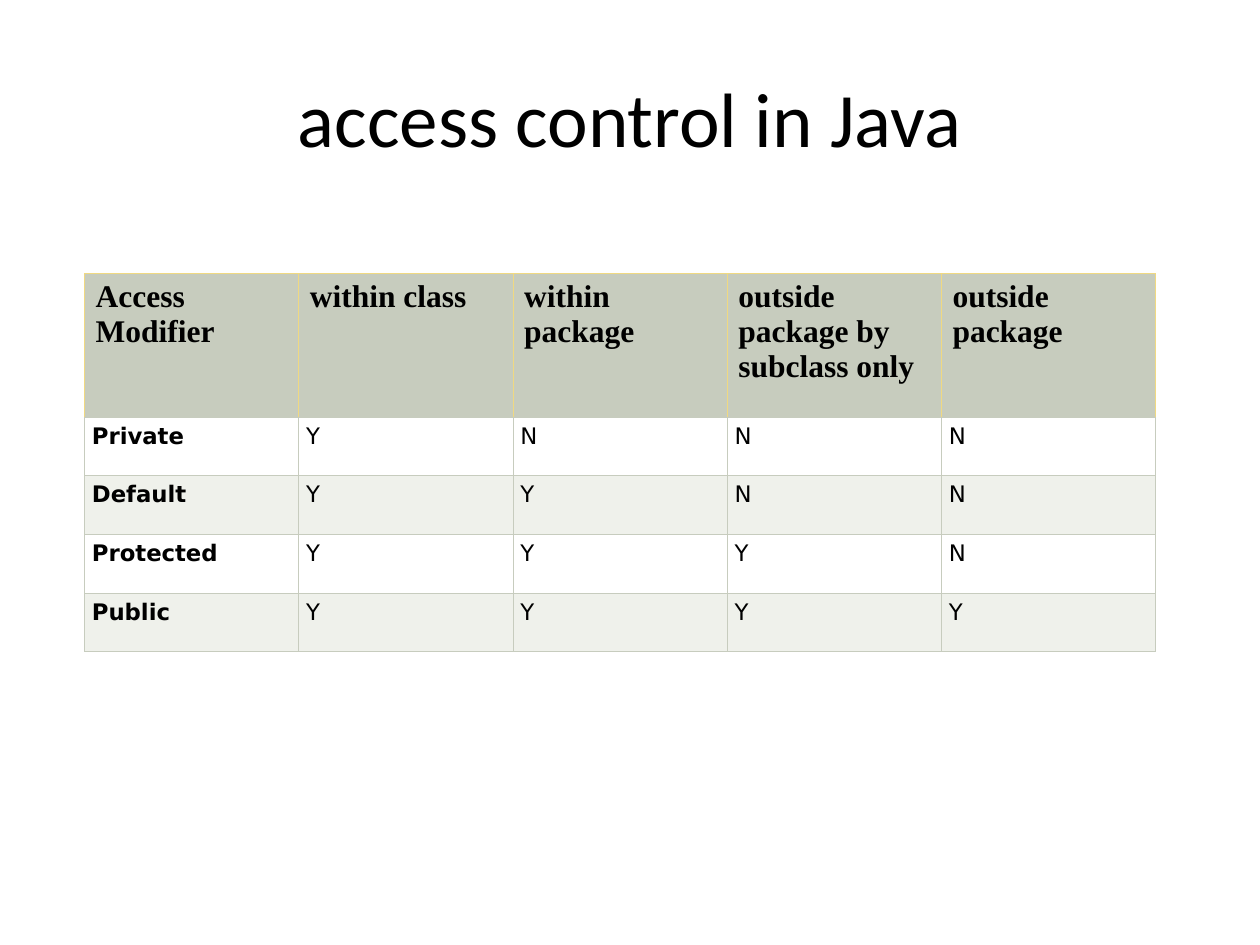
import pptx
import pptx.dml.color
import pptx.enum.text
import pptx.oxml
import pptx.oxml.ns
import pptx.util
from pptx.util import Inches, Pt

COLORS = {
    "text": "000000",
    "header": "C7CCBE",
    "line": "C7CCBE",
    "header_line": "F0D982",
    "plain": "FFFFFF",
    "band": "EFF1EB",
}

HEADERS = [
    "Access Modifier",
    "within class",
    "within package",
    "outside package by subclass only",
    "outside package",
]
MODIFIERS = [
    ("Private", "YNNN"),
    ("Default", "YYNN"),
    ("Protected", "YYYN"),
    ("Public", "YYYY"),
]


def rgb(name):
    return pptx.dml.color.RGBColor.from_string(COLORS[name])


def set_font(p, name, size, bold=False):
    p.font.name = name
    p.font.size = Pt(size)
    p.font.bold = bold
    p.font.color.rgb = rgb("text")


def set_borders(cell, colors):
    tcPr = cell._tc.get_or_add_tcPr()
    for side, color in zip("LRTB", colors):
        tcPr.append(pptx.oxml.parse_xml(
            f'<a:ln{side} {pptx.oxml.ns.nsdecls("a")} w="{Pt(0.34)}">'
            f'<a:solidFill><a:srgbClr val="{COLORS[color]}"/></a:solidFill>'
            f'</a:ln{side}>'))


def format_cell(cell, text, fill, borders, margin, font):
    set_borders(cell, borders)
    cell.fill.solid()
    cell.fill.fore_color.rgb = rgb(fill)
    cell.margin_left = cell.margin_right = Inches(margin)
    cell.margin_top = cell.margin_bottom = Inches(0.05)
    cell.text = text
    set_font(cell.text_frame.paragraphs[0], *font)


def add_title(slide, text, left, top, width, height):
    sp = slide.shapes.title
    sp.left, sp.top, sp.width, sp.height = left, top, width, height
    tf = sp.text_frame
    tf.text = text
    tf.vertical_anchor = pptx.enum.text.MSO_ANCHOR.MIDDLE
    p = tf.paragraphs[0]
    p.alignment = pptx.enum.text.PP_ALIGN.CENTER
    set_font(p, "Calibri", 44)


def add_access_table(slide, left, top, width, height):
    n_rows, n_cols = len(MODIFIERS) + 1, len(HEADERS)
    table = slide.shapes.add_table(n_rows, n_cols, left, top, width, height).table
    for col in table.columns:
        col.width = width // n_cols
    header_height = Inches(1.14)
    table.rows[0].height = header_height
    for i in range(1, n_rows):
        table.rows[i].height = (height - header_height) // len(MODIFIERS)

    header_borders = ["header_line"] * 3 + ["line"]
    for j, text in enumerate(HEADERS):
        format_cell(table.cell(0, j), text, "header", header_borders, 0.09,
                    ("Times New Roman", 18, True))
    for i, (modifier, access) in enumerate(MODIFIERS, 1):
        fill = "plain" if i % 2 else "band"
        for j, text in enumerate([modifier, *access]):
            format_cell(table.cell(i, j), text, fill, ["line"] * 4, 0.06,
                        ("DejaVu Sans", 13, j == 0))


def main():
    prs = pptx.Presentation()
    prs.slide_width, prs.slide_height = Inches(10), Inches(7.5)
    slide = prs.slides.add_slide(prs.slide_layouts[5])
    add_title(slide, "access control in Java",
              Inches(0.5), Inches(0.3), Inches(9), Inches(1.25))
    add_access_table(slide, Inches(0.67), Inches(2.17), Inches(8.5), Inches(3))
    prs.save("out.pptx")


if __name__ == "__main__":
    main()
